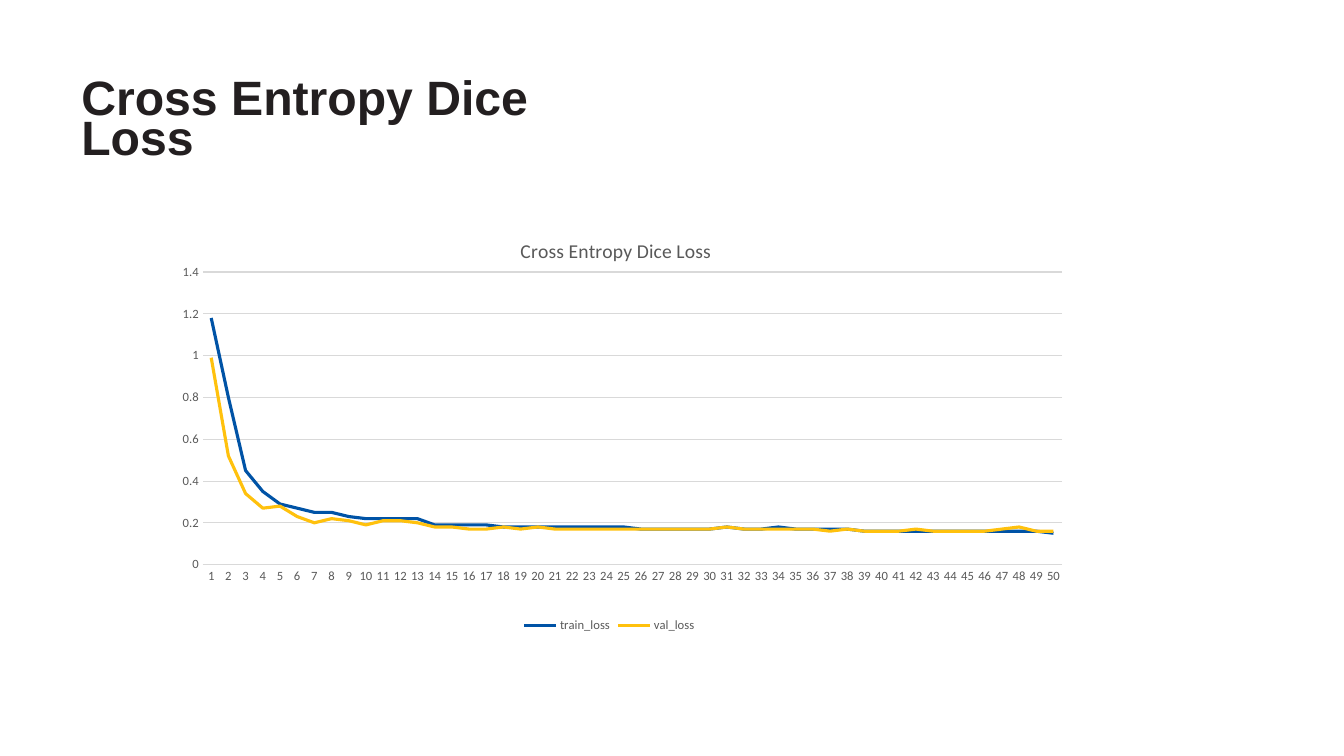
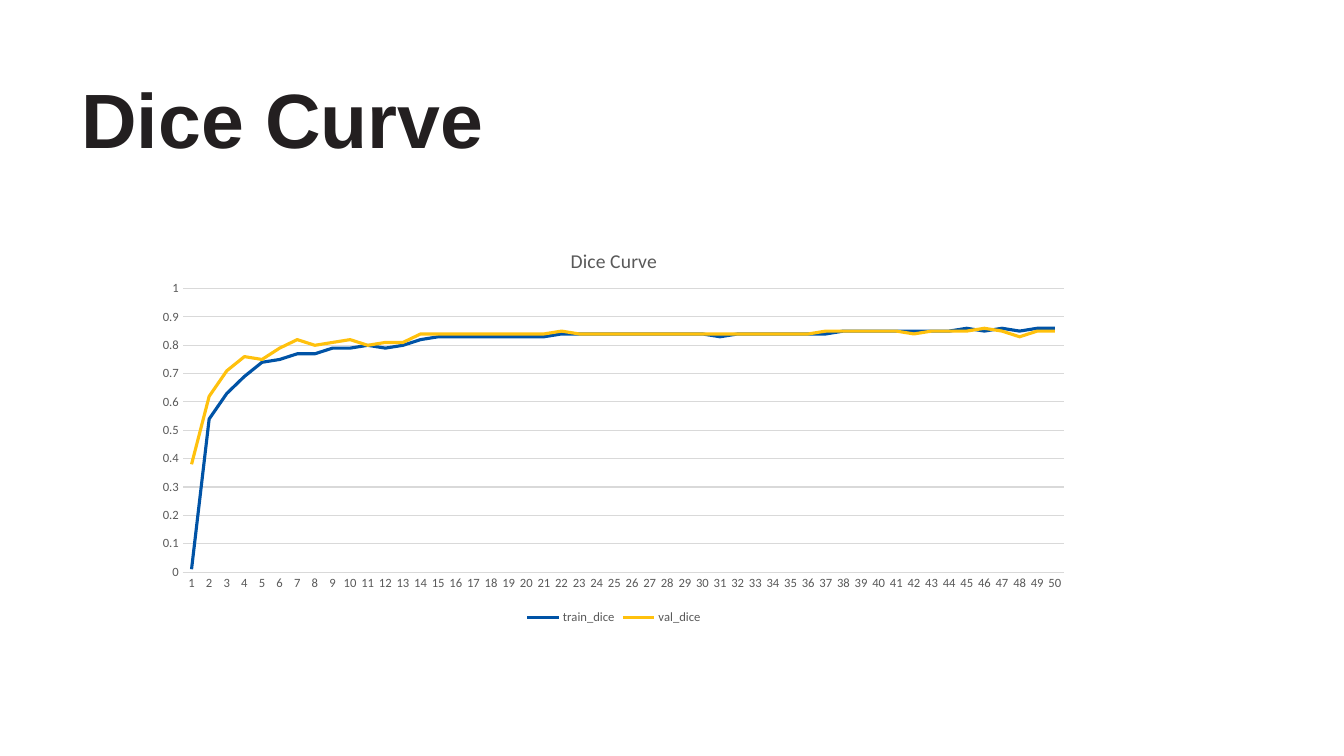
from dataclasses import dataclass

from lxml.etree import SubElement
from pptx import Presentation
from pptx.chart.data import CategoryChartData
from pptx.dml.color import RGBColor
from pptx.enum.chart import XL_CHART_TYPE, XL_LEGEND_POSITION, XL_TICK_MARK
from pptx.enum.text import MSO_ANCHOR
from pptx.oxml.ns import qn
from pptx.util import Cm, Pt

COLORS = {
    "title": "231F20",
    "label": "595959",
    "grid": "D9D9D9",
    "train": "0053A6",
    "val": "FFC10D",
}
TITLE_FONT = "Arial"
CHART_FONT = "Calibri"
EPOCHS = 50


@dataclass(frozen=True)
class Curve:
    name: str
    color: str
    values: list[float]


@dataclass(frozen=True)
class CurveSlide:
    title: str
    title_size: float
    line_spacing: float
    chart_box: tuple[float, float, float, float]  # cm
    caption_at: tuple[float, float]  # fractions of the chart
    plot_area: tuple[float, float, float, float]  # fractions of the chart
    axis_max: float
    axis_step: float
    curves: list[Curve]


# Content
SLIDES = [
    CurveSlide(
        "Cross Entropy Dice Loss", 34.4, 0.7,
        (3.71, 5.36, 23.29, 10.69), (0.4, 0.05), (0.06, 0.14, 0.93, 0.69), 1.4, 0.2,
        [
            Curve("train_loss", "train", [
                1.18, 0.8, 0.45, 0.35, 0.29, 0.27, 0.25, 0.25, 0.23, 0.22,
                0.22, 0.22, 0.22, 0.19, 0.19, 0.19, 0.19, 0.18, 0.18, 0.18,
                0.18, 0.18, 0.18, 0.18, 0.18, 0.17, 0.17, 0.17, 0.17, 0.17,
                0.18, 0.17, 0.17, 0.18, 0.17, 0.17, 0.17, 0.17, 0.16, 0.16,
                0.16, 0.16, 0.16, 0.16, 0.16, 0.16, 0.16, 0.16, 0.16, 0.15]),
            Curve("val_loss", "val", [
                0.99, 0.52, 0.34, 0.27, 0.28, 0.23, 0.2, 0.22, 0.21, 0.19,
                0.21, 0.21, 0.2, 0.18, 0.18, 0.17, 0.17, 0.18, 0.17, 0.18,
                0.17, 0.17, 0.17, 0.17, 0.17, 0.17, 0.17, 0.17, 0.17, 0.17,
                0.18, 0.17, 0.17, 0.17, 0.17, 0.17, 0.16, 0.17, 0.16, 0.16,
                0.16, 0.17, 0.16, 0.16, 0.16, 0.16, 0.17, 0.18, 0.16, 0.16]),
        ],
    ),
    CurveSlide(
        "Dice Curve", 55, 0.9,
        (3.66, 5.64, 23.62, 10.21), (0.45, 0.05), (0.04, 0.16, 0.94, 0.7), 1, 0.1,
        [
            Curve("train_dice", "train", [
                0.01, 0.54, 0.63, 0.69, 0.74, 0.75, 0.77, 0.77, 0.79, 0.79,
                0.8, 0.79, 0.8, 0.82, 0.83, 0.83, 0.83, 0.83, 0.83, 0.83,
                0.83, 0.84, 0.84, 0.84, 0.84, 0.84, 0.84, 0.84, 0.84, 0.84,
                0.83, 0.84, 0.84, 0.84, 0.84, 0.84, 0.84, 0.85, 0.85, 0.85,
                0.85, 0.85, 0.85, 0.85, 0.86, 0.85, 0.86, 0.85, 0.86, 0.86]),
            Curve("val_dice", "val", [
                0.38, 0.62, 0.71, 0.76, 0.75, 0.79, 0.82, 0.8, 0.81, 0.82,
                0.8, 0.81, 0.81, 0.84, 0.84, 0.84, 0.84, 0.84, 0.84, 0.84,
                0.84, 0.85, 0.84, 0.84, 0.84, 0.84, 0.84, 0.84, 0.84, 0.84,
                0.84, 0.84, 0.84, 0.84, 0.84, 0.84, 0.85, 0.85, 0.85, 0.85,
                0.85, 0.84, 0.85, 0.85, 0.85, 0.86, 0.85, 0.83, 0.85, 0.85]),
        ],
    ),
]


def rgb(name: str) -> RGBColor:
    return RGBColor.from_string(COLORS[name])


def style_font(font, family: str, size: float, color: str, bold: bool = False) -> None:
    font.name = family
    font.size = Pt(size)
    font.bold = bold
    font.color.rgb = rgb(color)


def style_line(line, color: str, width: float) -> None:
    line.color.rgb = rgb(color)
    line.width = Pt(width)


def place(owner, index: int, fractions: tuple[float, ...], inner: bool = False) -> None:
    """Give a chart element a manual layout as fractions of the chart."""
    for old in owner.findall(qn("c:layout")):
        owner.remove(old)
    layout = SubElement(owner, qn("c:layout"))
    owner.insert(index, layout)
    manual = SubElement(layout, qn("c:manualLayout"))
    settings = [("layoutTarget", "inner")] if inner else []
    settings += [("xMode", "edge"), ("yMode", "edge")]
    settings += zip(("x", "y", "w", "h"), fractions)
    for tag, value in settings:
        SubElement(manual, qn(f"c:{tag}")).set("val", str(value))


def add_title(slide, content: CurveSlide) -> None:
    heading = slide.shapes.add_textbox(Cm(1.8), Cm(1.9), Cm(14.53), Cm(2.41))
    frame = heading.text_frame
    frame.word_wrap = True
    frame.vertical_anchor = MSO_ANCHOR.MIDDLE
    frame.text = content.title
    paragraph = frame.paragraphs[0]
    paragraph.line_spacing = content.line_spacing
    style_font(paragraph.runs[0].font, TITLE_FONT, content.title_size, "title", bold=True)


def add_curves(slide, content: CurveSlide) -> None:
    data = CategoryChartData()
    data.categories = [str(epoch) for epoch in range(1, EPOCHS + 1)]
    for curve in content.curves:
        data.add_series(curve.name, curve.values)
    box = [Cm(length) for length in content.chart_box]
    chart = slide.shapes.add_chart(XL_CHART_TYPE.LINE, *box, data).chart
    style_font(chart.font, CHART_FONT, 10, "label")

    # Caption and plot area
    chart.has_title = True
    caption = chart.chart_title.text_frame
    caption.text = content.title
    style_font(caption.paragraphs[0].runs[0].font, CHART_FONT, 14, "label")
    root = chart.element
    place(root.find(".//" + qn("c:title")), 1, content.caption_at)
    place(root.find(".//" + qn("c:plotArea")), 0, content.plot_area, inner=True)

    # Axes
    epochs, scores = chart.category_axis, chart.value_axis
    for axis in (epochs, scores):
        axis.major_tick_mark = axis.minor_tick_mark = XL_TICK_MARK.NONE
        style_font(axis.tick_labels.font, CHART_FONT, 9, "label")
    style_line(epochs.format.line, "grid", 0.75)
    scores.format.line.fill.background()
    scores.has_major_gridlines = True
    style_line(scores.major_gridlines.format.line, "grid", 0.75)
    scores.minimum_scale = 0
    scores.maximum_scale = content.axis_max
    scores.major_unit = content.axis_step

    # Legend
    chart.has_legend = True
    chart.legend.position = XL_LEGEND_POSITION.BOTTOM
    chart.legend.include_in_layout = False
    style_font(chart.legend.font, CHART_FONT, 9, "label")

    # Curves
    plot = chart.plots[0]
    plot.vary_by_categories = False
    for series, curve in zip(plot.series, content.curves):
        series.smooth = False
        style_line(series.format.line, curve.color, 2.25)


def main() -> None:
    presentation = Presentation()
    presentation.slide_width = Cm(33.87)
    presentation.slide_height = Cm(19.05)
    blank = presentation.slide_layouts[6]
    for content in SLIDES:
        slide = presentation.slides.add_slide(blank)
        add_title(slide, content)
        add_curves(slide, content)
    presentation.save("out.pptx")


if __name__ == "__main__":
    main()
